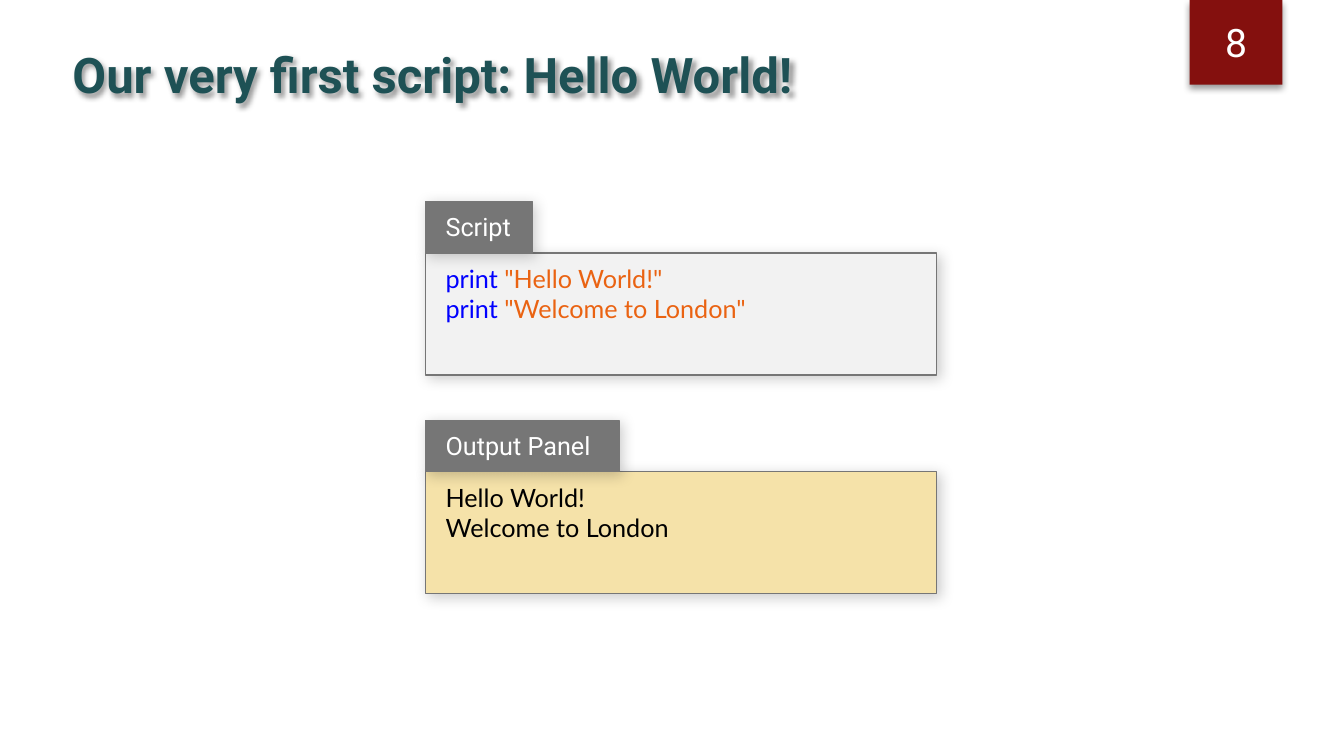
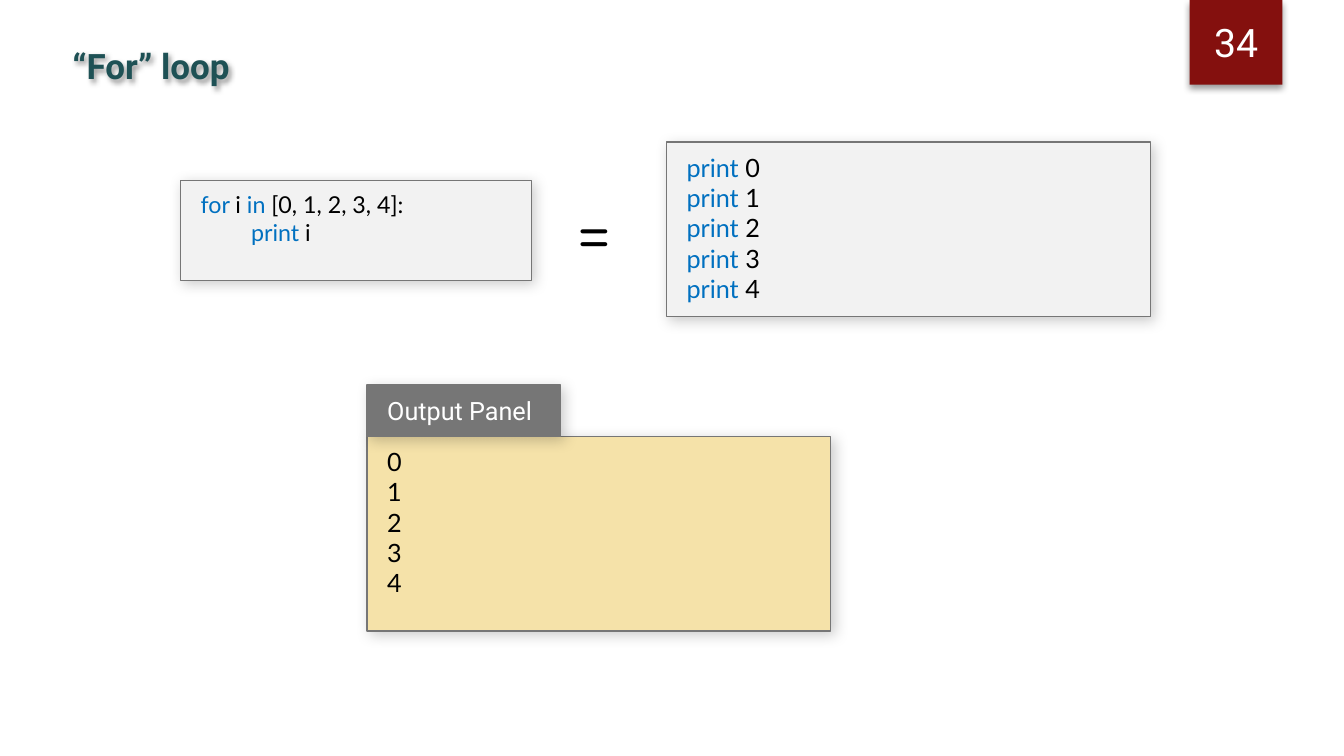
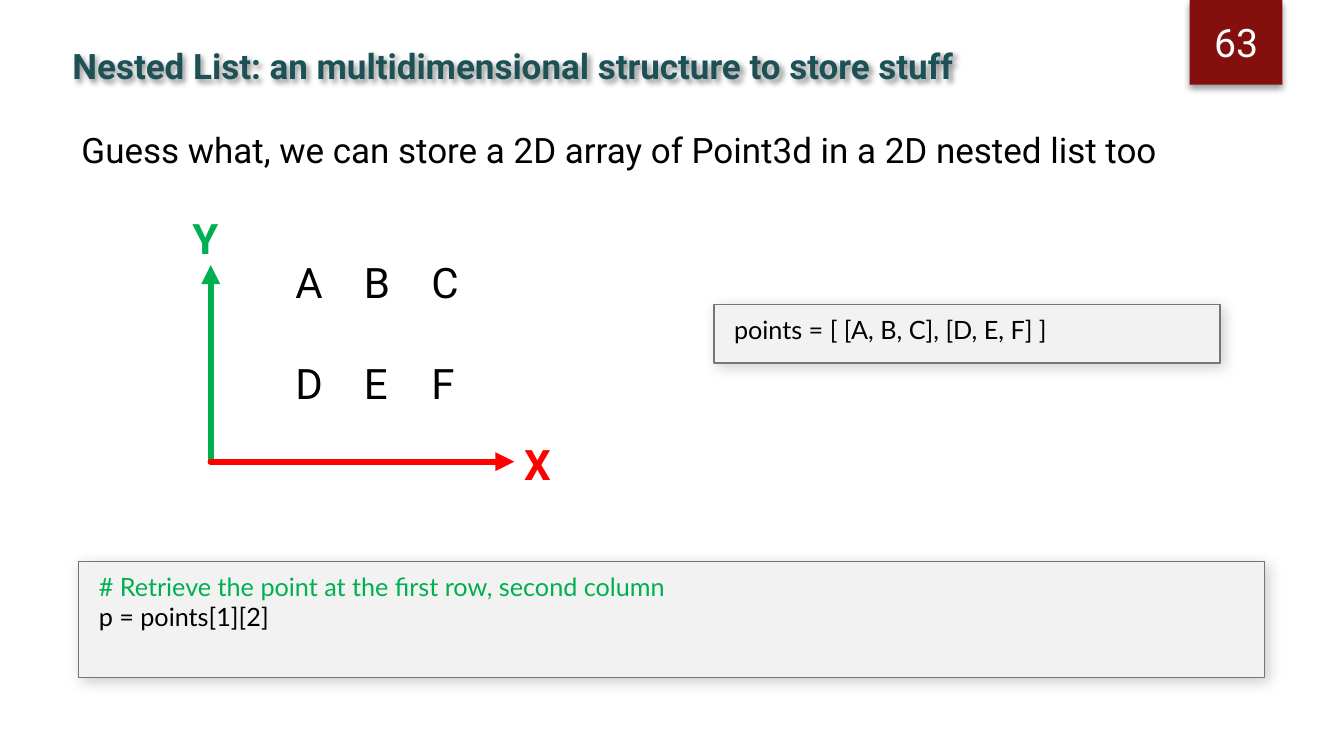
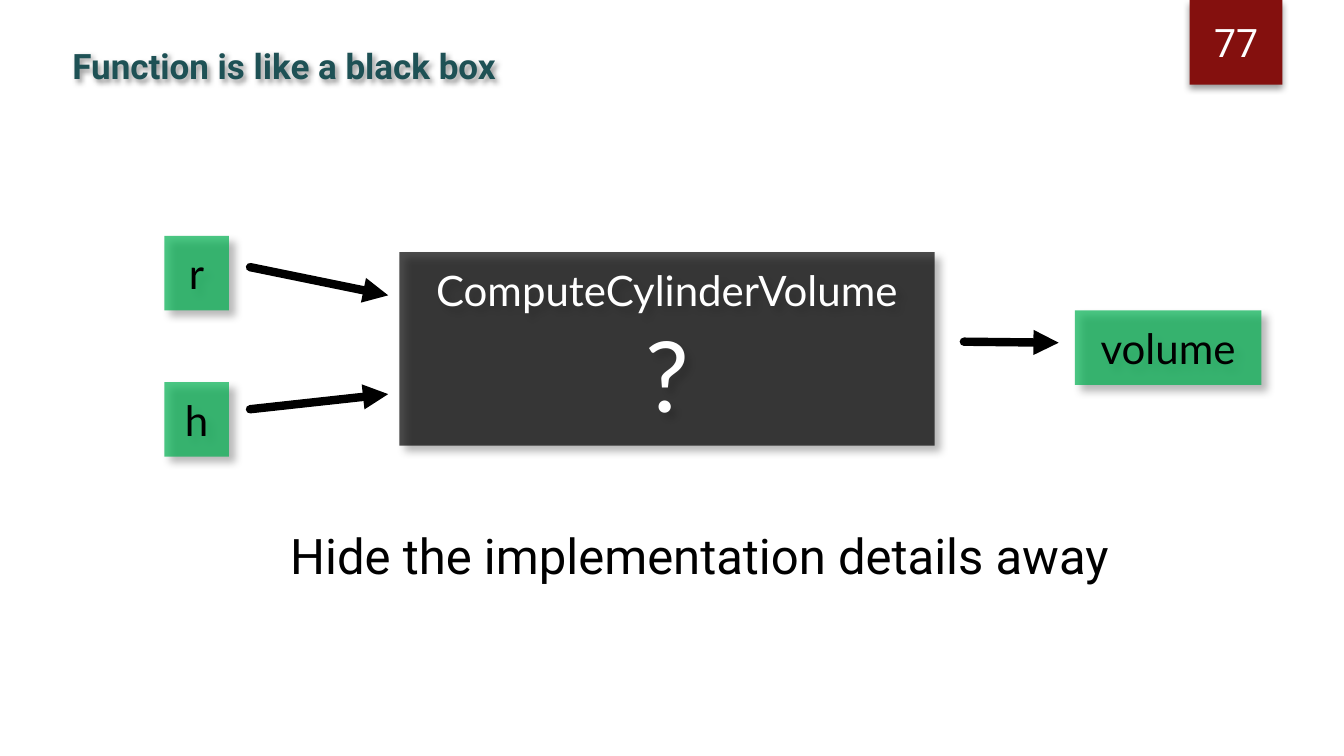
from dataclasses import dataclass

from lxml.etree import SubElement
from pptx import Presentation
from pptx.dml.color import RGBColor
from pptx.enum.shapes import MSO_CONNECTOR, MSO_SHAPE
from pptx.enum.text import MSO_ANCHOR, PP_ALIGN
from pptx.oxml.ns import qn
from pptx.util import Inches, Pt


@dataclass(frozen=True)
class Theme:
    title: str = "1E5155"
    badge: str = "84100E"
    white: str = "FFFFFF"
    black: str = "000000"
    gray: str = "767676"
    code_fill: str = "F2F2F2"
    output_fill: str = "F5E2A9"
    keyword: str = "0000FF"
    loop_keyword: str = "0070C0"
    string: str = "EA6312"
    green: str = "00B050"
    red: str = "FF0000"
    heading_font: str = "Roboto"
    code_font: str = "Lato"
    symbol_font: str = "Quicksand"
    hero_size: float = 35
    title_size: float = 25
    badge_size: float = 28
    code_size: float = 18
    small_code_size: float = 16.6
    label_size: float = 30
    equals_size: float = 50
    question_size: float = 70


THEME = Theme()
TITLE_SHADOW = (40, 4, 3, 45)
BADGE_SHADOW = (40, 5, 3, 90)
PANEL_SHADOW = (20, 10, 3, 45)
BLOCK_SHADOW = (40, 6, 6, 45)
TAB_HEIGHT = 0.51
OUTPUT_TAB = ("Output Panel", 1.92)

HELLO_SCRIPT = [
    [("print ", THEME.keyword), ('"Hello World!"', THEME.string)],
    [("print ", THEME.keyword), ('"Welcome to London"', THEME.string)],
]
HELLO_OUTPUT = ["Hello World!", "Welcome to London"]
LOOP_SCRIPT = [
    [("for ", THEME.loop_keyword), ("i ", THEME.black),
     ("in ", THEME.loop_keyword), ("[0, 1, 2, 3, 4]:", THEME.black)],
    [("\tprint ", THEME.loop_keyword), ("i", THEME.black)],
]
LOOP_VALUES = [str(value) for value in range(5)]
UNROLLED_SCRIPT = [
    [("print ", THEME.loop_keyword), (value, THEME.black)] for value in LOOP_VALUES
]
RETRIEVE_SCRIPT = [
    [("# Retrieve the point at the first row, second column", THEME.green)],
    "p = points[1][2]",
]
POINT_ROWS = ["A\tB\tC", "D\tE\tF"]
AXIS_ORIGIN = (2.09, 4.58)
AXES = [
    ("X", THEME.red, (5.1, 4.58), (5.1, 4.3)),
    ("Y", THEME.green, (2.09, 2.63), (1.81, 2.06)),
]
VALUE_BLOCKS = [
    ("r", (1.63, 2.34, 0.64, 0.74)),
    ("h", (1.63, 3.79, 0.64, 0.74)),
    ("volume", (10.66, 3.08, 1.85, 0.74)),
]
FLOW_ARROWS = [
    ((2.48, 2.65), (3.85, 2.93)),
    ((2.48, 4.06), (3.85, 3.91)),
    ((9.56, 3.39), (10.5, 3.4)),
]


def color(value):
    return RGBColor.from_string(value)


def place(box):
    return [Inches(length) for length in box]


def write(shape, lines, size, font, ink=THEME.black, bold=False,
          align=PP_ALIGN.LEFT, tabs=(), gap=0):
    frame = shape.text_frame
    for index, line in enumerate(lines):
        paragraph = frame.paragraphs[0] if index == 0 else frame.add_paragraph()
        paragraph.alignment = align
        if index and gap:
            paragraph.space_before = Pt(gap)
        if tabs:
            tab_list = SubElement(paragraph._p.get_or_add_pPr(), qn("a:tabLst"))
            for position in tabs:
                SubElement(tab_list, qn("a:tab"), pos=str(Inches(position)), algn="l")
        pieces = [(line, ink)] if isinstance(line, str) else line
        for text, piece_color in pieces:
            run = paragraph.add_run()
            run.text = text
            run.font.size = Pt(size)
            run.font.name = font
            run.font.bold = bold
            run.font.color.rgb = color(piece_color)


def add_shadow(shape, shadow):
    opacity, blur, distance, angle = shadow
    shape.shadow.inherit = False
    effects = shape._element.spPr.find(qn("a:effectLst"))
    outer = SubElement(effects, qn("a:outerShdw"), blurRad=str(Pt(blur)),
                       dist=str(Pt(distance)), dir=str(angle * 60000),
                       algn="tl", rotWithShape="0")
    tint = SubElement(outer, qn("a:srgbClr"), val=THEME.black)
    SubElement(tint, qn("a:alpha"), val=str(opacity * 1000))


def add_text(slide, box, lines, size, font=THEME.heading_font, wrap=True, **style):
    shape = slide.shapes.add_textbox(*place(box))
    shape.text_frame.word_wrap = wrap
    write(shape, lines, size, font, **style)
    return shape


def add_box(slide, box, fill, shadow, outline=None, opacity=100,
            insets=(0.2, 0.1), anchor=MSO_ANCHOR.TOP):
    shape = slide.shapes.add_shape(MSO_SHAPE.RECTANGLE, *place(box))
    shape.fill.solid()
    shape.fill.fore_color.rgb = color(fill)
    if opacity < 100:
        tint = shape._element.spPr.find(qn("a:solidFill")).find(qn("a:srgbClr"))
        SubElement(tint, qn("a:alpha"), val=str(opacity * 1000))
    if outline:
        shape.line.color.rgb = color(outline)
        shape.line.width = Pt(1)
    else:
        shape.line.fill.background()
    add_shadow(shape, shadow)
    frame = shape.text_frame
    frame.word_wrap = True
    frame.vertical_anchor = anchor
    frame.margin_left = frame.margin_right = Inches(insets[0])
    frame.margin_top = frame.margin_bottom = Inches(insets[1])
    return shape


def add_panel(slide, box, lines, fill=THEME.code_fill, size=THEME.code_size,
              tab=None, tabs=()):
    panel = add_box(slide, box, fill, PANEL_SHADOW, THEME.gray)
    write(panel, lines, size, THEME.code_font, tabs=tabs)
    if tab:
        label, width = tab
        left, top = box[:2]
        header = add_box(slide, (left, top - TAB_HEIGHT, width, TAB_HEIGHT),
                         THEME.gray, PANEL_SHADOW, THEME.gray)
        write(header, [label], THEME.code_size, THEME.heading_font, THEME.white)


def add_block(slide, box, fill):
    return add_box(slide, box, fill, BLOCK_SHADOW, opacity=70, insets=(0.2, 0.12))


def add_arrow(slide, start, end, ink, width):
    arrow = slide.shapes.add_connector(MSO_CONNECTOR.STRAIGHT, *place(start + end))
    arrow.line.color.rgb = color(ink)
    arrow.line.width = Pt(width)
    properties = arrow._element.spPr
    line = properties.find(qn("a:ln"))
    line.set("cap", "rnd")
    SubElement(line, qn("a:round"))
    SubElement(line, qn("a:tailEnd"), type="triangle")
    SubElement(properties, qn("a:effectLst"))


def start_slide(presentation, title, number, size=THEME.title_size):
    slide = presentation.slides.add_slide(presentation.slide_layouts[6])
    heading = add_text(slide, (0.62, 0.39, 10.92, 0.64), [title], size,
                       ink=THEME.title, bold=True)
    add_shadow(heading, TITLE_SHADOW)
    badge = add_box(slide, (11.8, 0, 0.92, 0.84), THEME.badge, BADGE_SHADOW,
                    insets=(0.1, 0.05), anchor=MSO_ANCHOR.MIDDLE)
    write(badge, [str(number)], THEME.badge_size, THEME.heading_font, THEME.white,
          align=PP_ALIGN.CENTER)
    return slide


def build_hello(presentation):
    slide = start_slide(presentation, "Our very first script: Hello World!", 8,
                        THEME.hero_size)
    add_panel(slide, (4.22, 2.51, 5.07, 1.21), HELLO_SCRIPT, tab=("Script", 1.06))
    add_panel(slide, (4.22, 4.68, 5.07, 1.21), HELLO_OUTPUT, THEME.output_fill,
              tab=OUTPUT_TAB)


def build_loop(presentation):
    slide = start_slide(presentation, "“For” loop", 34)
    add_panel(slide, (1.79, 1.79, 3.48, 0.99), LOOP_SCRIPT,
              size=THEME.small_code_size, tabs=(0.5,))
    add_text(slide, (5.63, 1.79, 0.63, 0.94), ["="], THEME.equals_size,
             THEME.symbol_font, wrap=False)
    add_panel(slide, (6.61, 1.41, 4.8, 1.73), UNROLLED_SCRIPT)
    add_panel(slide, (3.64, 4.33, 4.6, 1.93), LOOP_VALUES, THEME.output_fill,
              tab=OUTPUT_TAB)


def build_nested_list(presentation):
    slide = start_slide(
        presentation, "Nested List: an multidimensional structure to store stuff", 63)
    add_text(slide, (0.71, 1.23, 10.99, 0.83),
             ["Guess what, we can store a 2D array of Point3d in a 2D nested list too"],
             THEME.title_size)
    add_panel(slide, (7.08, 3.02, 5.02, 0.58), ["points = [ [A, B, C], [D, E, F] ]"])
    add_panel(slide, (0.78, 5.57, 11.76, 1.15), RETRIEVE_SCRIPT)
    add_text(slide, (2.83, 2.5, 2.02, 1.62), POINT_ROWS, THEME.label_size,
             tabs=(0.68, 1.35), gap=36)
    for name, ink, tip, corner in reversed(AXES):
        add_arrow(slide, AXIS_ORIGIN, tip, ink, 4.5)
        add_text(slide, corner + (0.55, 0.61), [name], THEME.label_size,
                 ink=ink, bold=True)


def build_black_box(presentation):
    slide = start_slide(presentation, "Function is like a black box", 77)
    function = add_block(slide, (3.96, 2.5, 5.31, 1.92), THEME.black)
    write(function, ["ComputeCylinderVolume", "?"], THEME.label_size,
          THEME.code_font, THEME.white, align=PP_ALIGN.CENTER)
    question = function.text_frame.paragraphs[1].runs[0]
    question.font.size = Pt(THEME.question_size)
    for name, box in VALUE_BLOCKS:
        block = add_block(slide, box, THEME.green)
        write(block, [name], THEME.label_size, THEME.code_font, align=PP_ALIGN.CENTER)
    for start, end in FLOW_ARROWS:
        add_arrow(slide, start, end, THEME.black, 6)
    add_text(slide, (2.78, 5.16, 8.38, 0.69), ["Hide the implementation details away"],
             THEME.hero_size, wrap=False)


def main():
    presentation = Presentation()
    presentation.slide_width = Inches(13.33)
    presentation.slide_height = Inches(7.5)
    for build in (build_hello, build_loop, build_nested_list, build_black_box):
        build(presentation)
    presentation.save("out.pptx")


if __name__ == "__main__":
    main()
